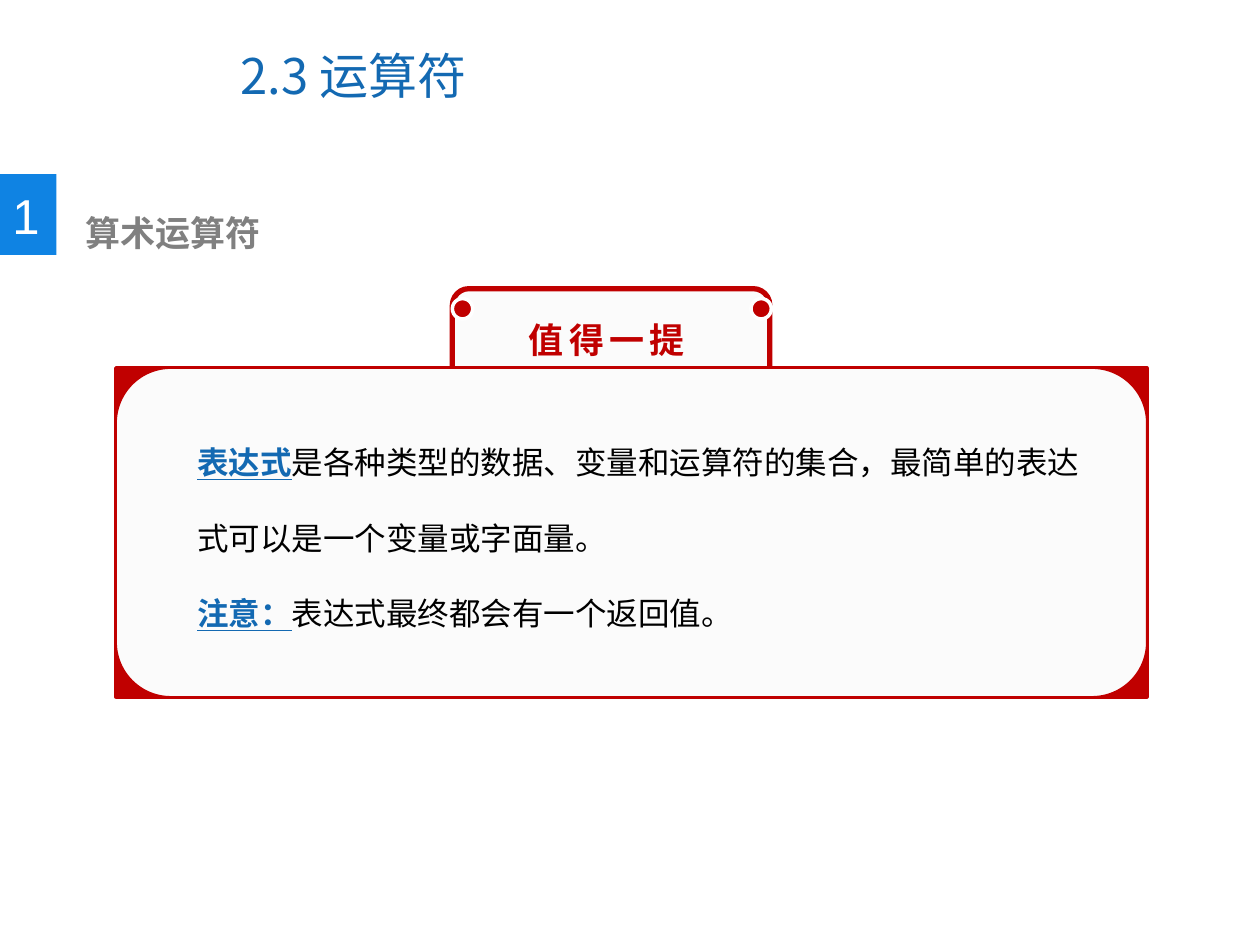
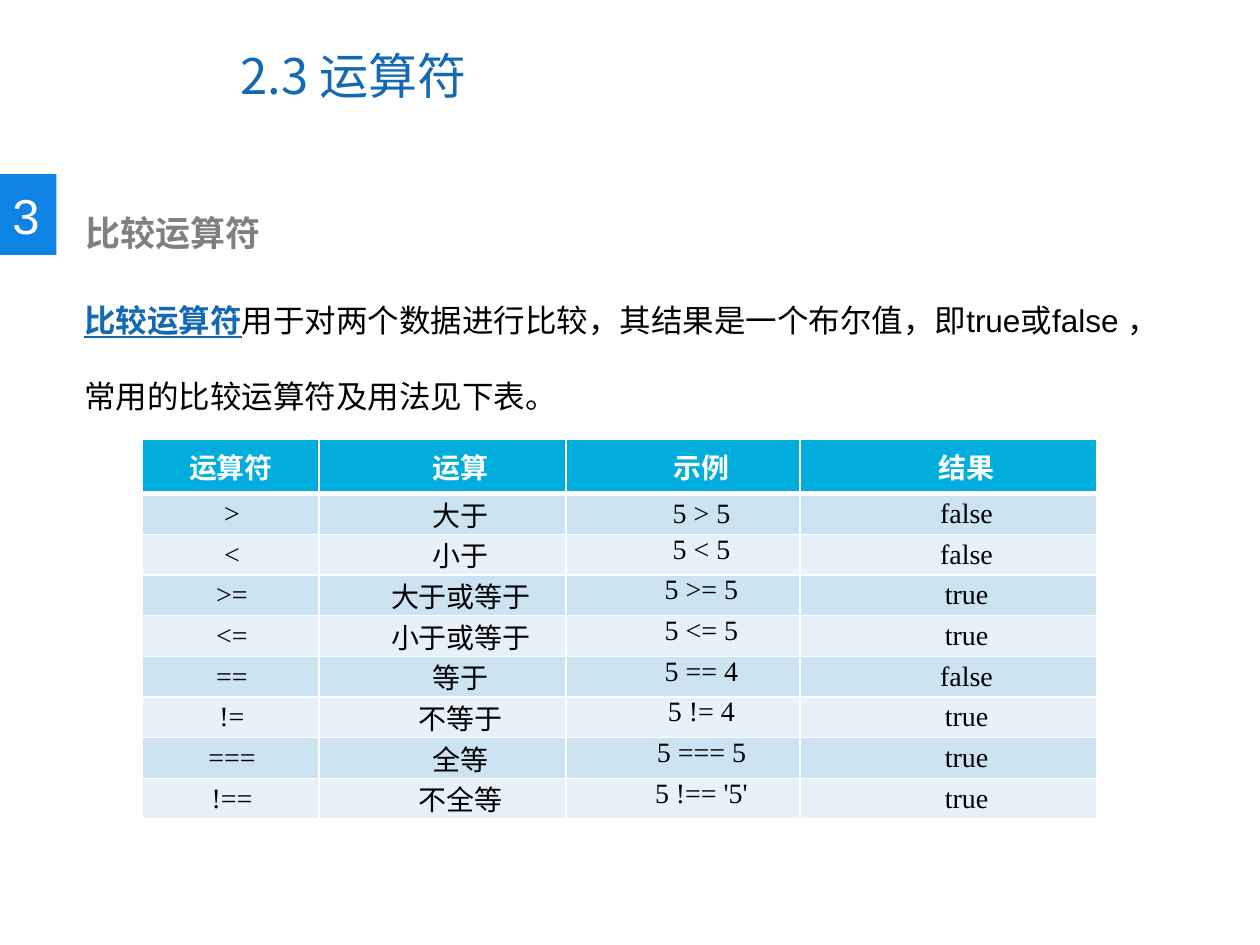
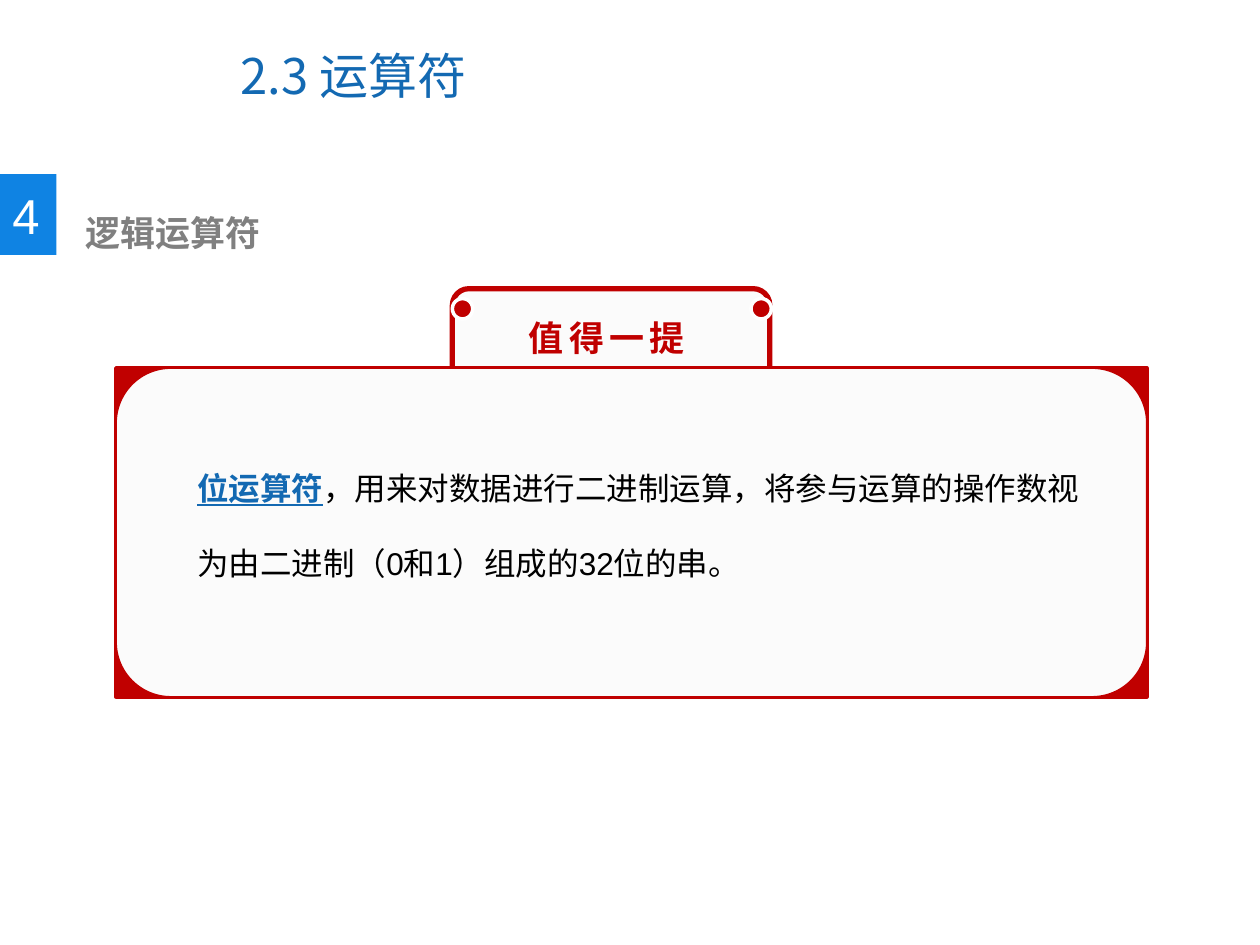
from lxml.etree import SubElement
from pptx import Presentation
from pptx.dml.color import RGBColor
from pptx.enum.shapes import MSO_SHAPE
from pptx.enum.text import MSO_ANCHOR, PP_ALIGN
from pptx.oxml.ns import qn
from pptx.util import Cm, Pt

CJK = "Noto Sans CJK SC"
BLUE = "1369B2"
RED = "C00000"
PAPER = "FBFBFB"
WHITE = "FFFFFF"
BLACK = "000000"


def add_block(page, kind, place, fill, line=None, width=0):
    block = page.shapes.add_shape(kind, *[Cm(length) for length in place])
    block.shadow.inherit = False
    block.fill.solid()
    block.fill.fore_color.rgb = RGBColor.from_string(fill)
    if line:
        block.line.color.rgb = RGBColor.from_string(line)
        block.line.width = Pt(width)
    else:
        block.line.fill.background()


def add_span(para, text, size, colour, font="Arial", bold=False, underline=False, spacing=0):
    span = para.add_run()
    span.text = text
    span.font.name = font
    span.font.size = Pt(size)
    span.font.bold = bold
    span.font.underline = underline
    span.font.color.rgb = RGBColor.from_string(colour)
    properties = span._r.get_or_add_rPr()
    SubElement(properties, qn("a:ea")).set("typeface", CJK)
    if spacing:
        properties.set("spc", str(spacing * 100))


sections = [
    ("1", "算术运算符", 6.3, (3.73, 8.05, 18.72, 4.88), [
        ("表达式", "是各种类型的数据、变量和运算符的集合，最简单的表达式可以是一个变量或字面量。"),
        ("注意：", "表达式最终都会有一个返回值。"),
    ]),
    ("3", "比较运算符", None, (1.45, 5.18, 22.4, 3.33), [
        ("比较运算符", "用于对两个数据进行比较，其结果是一个布尔值，即true或false ，常用的比较运算符及用法见下表。"),
    ]),
    ("4", "逻辑运算符", 6.25, (3.73, 8.56, 18.72, 3.1), [
        ("位运算符", "，用来对数据进行二进制运算，将参与运算的操作数视为由二进制（0和1）组成的32位的串。"),
    ]),
]

deck = Presentation()
deck.slide_width = Cm(25.4)
deck.slide_height = Cm(19.05)

for number, heading, tag_top, body_place, body in sections:
    page = deck.slides.add_slide(deck.slide_layouts[5])
    title = page.shapes.title
    title.left, title.top, title.width, title.height = Cm(4.6), Cm(0.43), Cm(13.11), Cm(2.16)
    title.text_frame.vertical_anchor = MSO_ANCHOR.MIDDLE
    title_para = title.text_frame.paragraphs[0]
    title_para.alignment = PP_ALIGN.LEFT
    add_span(title_para, "2.3 运算符", 28, BLUE, CJK)

    add_block(page, MSO_SHAPE.RECTANGLE, (0, 3.51, 1.14, 1.63), "0F83E3")
    labels = [
        ((0, 3.61, 1.07, 1.45), False, 0.25, (number, 28, WHITE)),
        ((1.19, 4.14, 13.06, 1.12), True, 0.53, (heading, 20, "808080", "Arial", True)),
    ]
    if tag_top:
        card = (2.34, 7.42, 20.78, 6.63)
        add_block(page, MSO_SHAPE.ROUNDED_RECTANGLE, (9.12, 5.82, 6.4, 2), PAPER, RED, 3)
        add_block(page, MSO_SHAPE.FLOWCHART_PROCESS, card, RED, RED, 2)
        add_block(page, MSO_SHAPE.FLOWCHART_ALTERNATE_PROCESS, card, PAPER, RED, 1)
        for pin_left in (9.12, 15.14):
            add_block(page, MSO_SHAPE.OVAL, (pin_left, 6.02, 0.41, 0.41), RED, WHITE, 2)
        labels.append(((10.41, tag_top, 3.81, 1.12), False, 0.25, ("值得一提", 20, RED, CJK, True, False, 3)))

    for place, wrap, margin, words in labels:
        box = page.shapes.add_textbox(*[Cm(length) for length in place])
        box.text_frame.word_wrap = wrap
        box.text_frame.margin_left = Cm(margin)
        add_span(box.text_frame.paragraphs[0], *words)

    frame = page.shapes.add_textbox(*[Cm(length) for length in body_place]).text_frame
    frame.word_wrap = True
    for index, (term, explanation) in enumerate(body):
        para = frame.add_paragraph() if index else frame.paragraphs[0]
        para.line_spacing = 2.0
        add_span(para, term, 18, BLUE, bold=True, underline=True)
        add_span(para, explanation, 18, BLACK)

operators = [
    ("运算符", "运算", "示例", "结果"),
    (">", "大于", "5 > 5", "false"),
    ("<", "小于", "5 < 5", "false"),
    (">=", "大于或等于", "5 >= 5", "true"),
    ("<=", "小于或等于", "5 <= 5", "true"),
    ("==", "等于", "5 == 4", "false"),
    ("!=", "不等于", "5 != 4", "true"),
    ("===", "全等", "5 === 5", "true"),
    ("!==", "不全等", "5 !== '5'", "true"),
]
table = deck.slides[1].shapes.add_table(
    len(operators), 4, Cm(2.87), Cm(8.86), Cm(19.25), Cm(7.62)
).table
table.first_row = False
table.horz_banding = False
for column, width in zip(table.columns, (3.56, 4.98, 4.72, 5.97)):
    column.width = Cm(width)

for row, values in enumerate(operators):
    header = row == 0
    table.rows[row].height = Cm(1.09 if header else 0.82)
    stripe = "00ADDC" if header else ("E7F1F9", "CCE3F2")[row % 2]
    for column, value in enumerate(values):
        cell = table.cell(row, column)
        cell.margin_left = cell.margin_right = Cm(0.2 if header else 0.18)
        cell.margin_top = cell.margin_bottom = 0
        top_aligned = column == 2 and row > 1
        cell.vertical_anchor = MSO_ANCHOR.TOP if top_aligned else MSO_ANCHOR.MIDDLE
        para = cell.text_frame.paragraphs[0]
        para.alignment = PP_ALIGN.LEFT if header and column == 0 else PP_ALIGN.CENTER
        indent = 0.05 if column == 0 and not header else 0.74
        para._p.get_or_add_pPr().set("indent", str(Cm(indent)))
        add_span(para, value, 16, WHITE if header else BLACK, "Times New Roman", header)
        for side in ("L", "R", "T", "B"):
            thick = (row, side) in ((0, "B"), (1, "T"))
            border = SubElement(cell._tc.get_or_add_tcPr(), qn("a:ln" + side))
            border.set("w", str(Pt(3 if thick else 1)))
            SubElement(SubElement(border, qn("a:solidFill")), qn("a:srgbClr")).set("val", WHITE)
        cell.fill.solid()
        cell.fill.fore_color.rgb = RGBColor.from_string(stripe)

deck.save("out.pptx")
